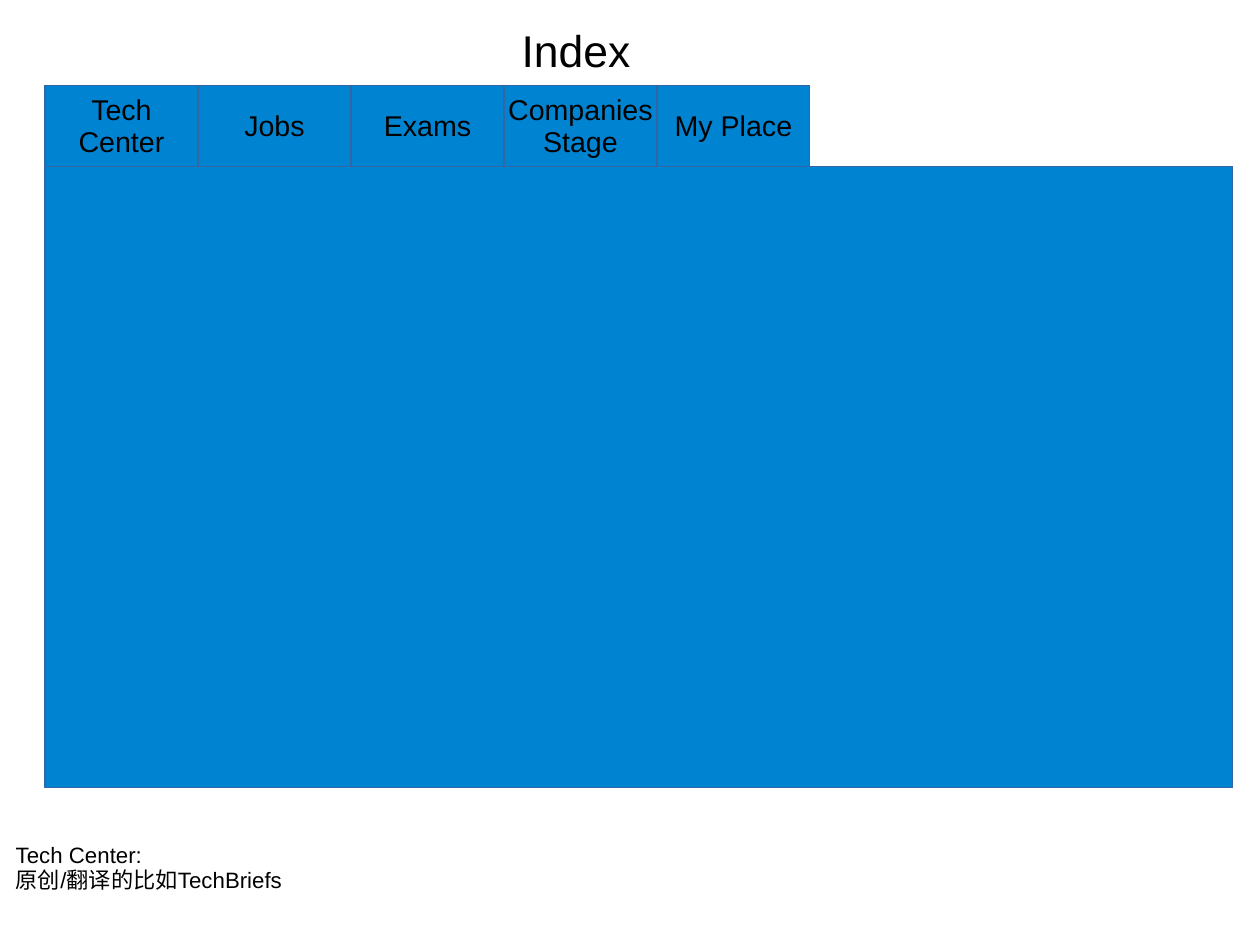
"""Build the Index slide: a row of tabs over one panel, with a note below."""
from dataclasses import dataclass
from pptx import Presentation
from pptx.dml.color import RGBColor as Rgb
from pptx.enum.shapes import MSO_SHAPE as Kind
from pptx.enum.text import MSO_ANCHOR as Anchor, PP_ALIGN as Align
from pptx.util import Inches, Mm, Pt

TITLE = "Index"
TABS = ["Tech\nCenter", "Jobs", "Exams", "Companies\nStage", "My Place"]
NOTE = "Tech Center:\n原创/翻译的比如TechBriefs"

WIDE, HIGH = 280, 210
LEFT, TOP = 10, 19
TAB_W, TAB_H = 34, 18
PANEL_W, PANEL_H = 264, 138


@dataclass(frozen=True)
class Theme:
    fill: Rgb = Rgb.from_string("0084D1")
    edge: Rgb = Rgb.from_string("3465A4")
    ink: Rgb = Rgb.from_string("000000")
    font: str = "Arial"
    head: int = 28
    tab: int = 18
    note: int = 14
    lead: float = 0.93


LOOK = Theme()


def write(shape, text, size, pads, align, anchor, wrap=False):
    frame = shape.text_frame
    frame.text = text
    frame.word_wrap = wrap
    frame.vertical_anchor = anchor
    sides = ("left", "top", "right", "bottom")
    for side, pad in zip(sides, pads):
        setattr(frame, f"margin_{side}", Inches(pad))
    for para in frame.paragraphs:
        para.alignment = align
        para.line_spacing = LOOK.lead
        for run in para.runs:
            run.font.name = LOOK.font
            run.font.size = Pt(size)
            run.font.color.rgb = LOOK.ink


def block(slide, *area):
    shape = slide.shapes.add_shape(Kind.RECTANGLE, *map(Mm, area))
    shape.shadow.inherit = False
    shape.fill.solid()
    shape.fill.fore_color.rgb = LOOK.fill
    shape.line.color.rgb = LOOK.edge
    shape.line.width = Pt(0.75)
    return shape


def label(slide, *area):
    return slide.shapes.add_textbox(*map(Mm, area))


def main():
    deck = Presentation()
    deck.slide_width, deck.slide_height = Mm(WIDE), Mm(HIGH)
    slide = deck.slides.add_slide(deck.slide_layouts[6])

    head = label(slide, 2, 4.5, 0.9 * WIDE, 13.7)
    write(head, TITLE, LOOK.head, (0, 0.03, 0, 0),
          Align.CENTER, Anchor.MIDDLE, True)

    block(slide, LEFT, TOP + TAB_H, PANEL_W, PANEL_H)
    for col, name in enumerate(TABS):
        tab = block(slide, LEFT + col * TAB_W, TOP, TAB_W, TAB_H)
        write(tab, name, LOOK.tab, (0.1, 0.07, 0.1, 0.05),
              Align.CENTER, Anchor.MIDDLE)

    note = label(slide, 1, 186, 70.6, 14.2)
    write(note, NOTE, LOOK.note, (0.1, 0.06, 0.1, 0.05),
          Align.LEFT, Anchor.TOP)
    deck.save("out.pptx")


if __name__ == "__main__":
    main()
